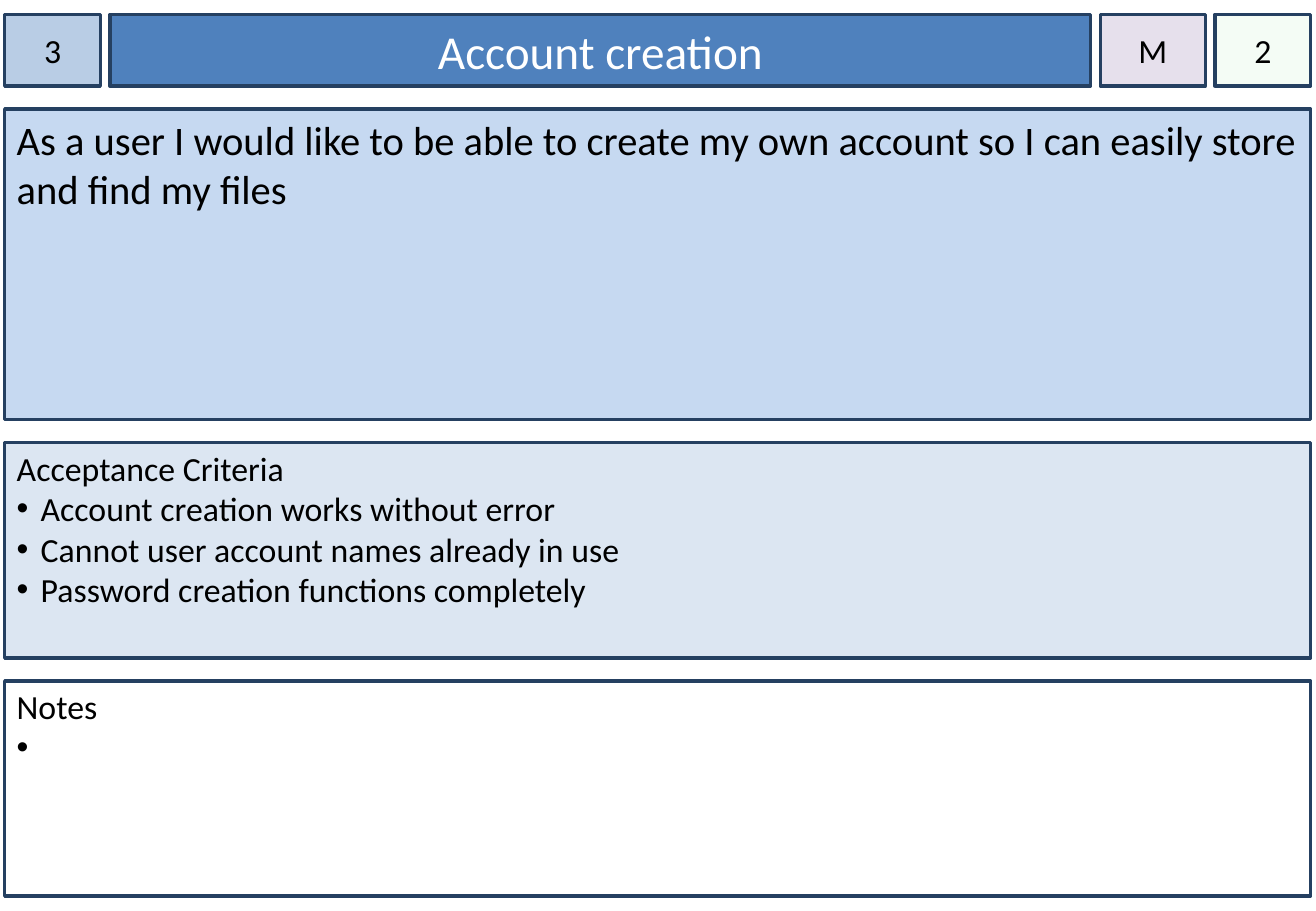
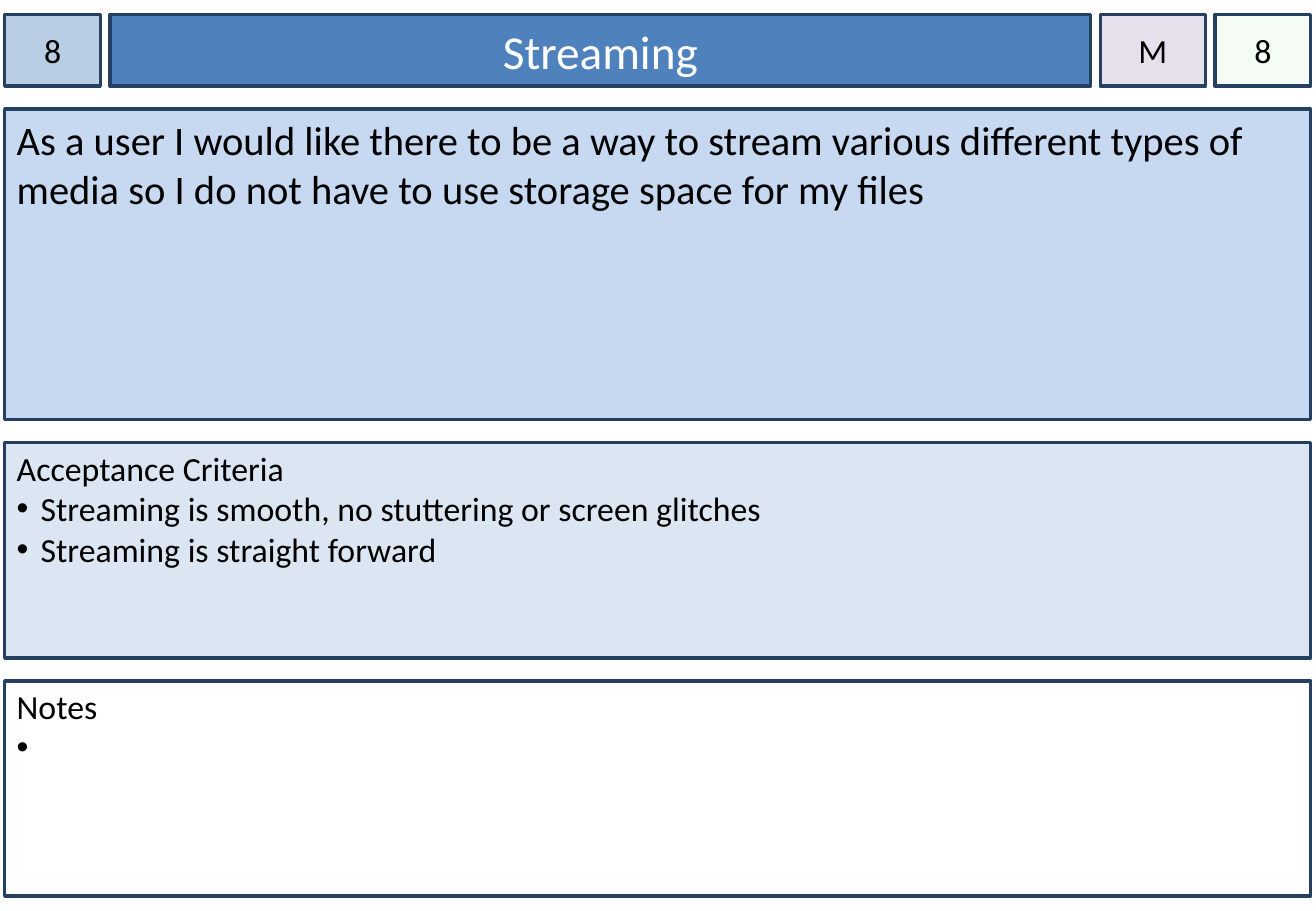
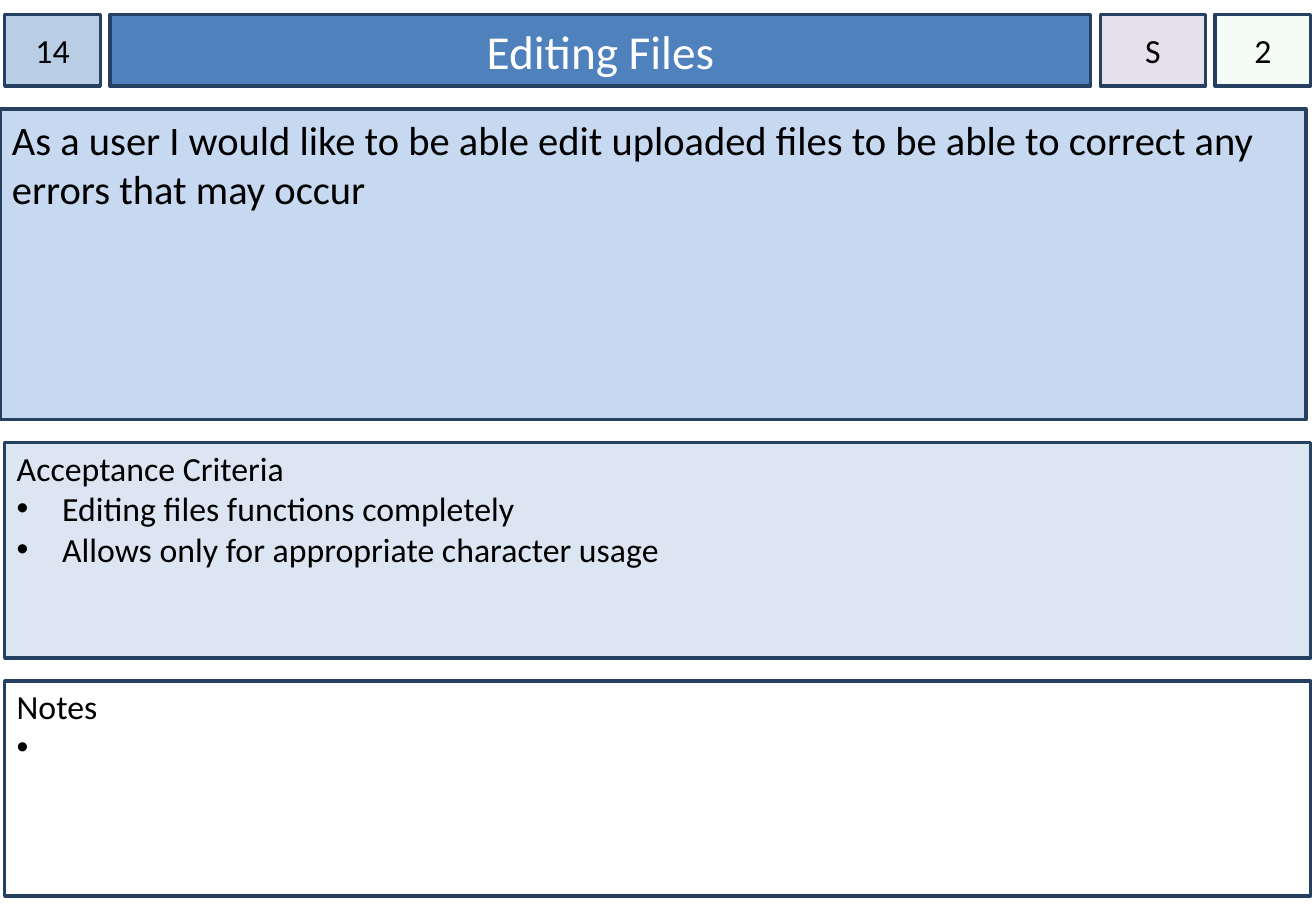
from lxml import etree
from pptx import Presentation
from pptx import util as u
from pptx.dml.color import RGBColor
from pptx.enum import shapes, text
from pptx.oxml.ns import qn

COLORS = {
    "line": "254061", "title": "4F81BD", "number": "B9CDE5",
    "priority": "E6E0EC", "points": "CCF0CD", "story": "C6D9F1",
    "criteria": "DCE6F2", "notes": "FFFFFF", "text": "000000", "title_text": "FFFFFF",
}
LEFT, TOP = 0.1, 0.3
HEADER_H, HEADER_GAP = 1.5, 0.2
HEADER_WIDTHS = {"number": 2, "title": 20.5, "priority": 2.2, "points": 2}
PANEL_TOP, PANEL_W, PANEL_GAP = 2.28, 27.3, 0.48
PANEL_HEIGHTS = {"story": 6.5, "criteria": 4.5, "notes": 4.5}

CARDS = [
    {"number": "3", "title": "Account creation", "priority": "M", "points": "2",
     "story": ["As a user I would like to be able to create my own account so I can easily store",
               "and find my files"],
     "criteria": ["Account creation works without error",
                  "Cannot user account names already in use",
                  "Password creation functions completely"],
     "indent": 0.5, "story_left": LEFT},
    {"number": "8", "title": "Streaming", "priority": "M", "points": "8",
     "story": ["As a user I would like there to be a way to stream various different types of",
               "media so I do not have to use storage space for my files"],
     "criteria": ["Streaming is smooth, no stuttering or screen glitches",
                  "Streaming is straight forward"],
     "indent": 0.5, "story_left": LEFT},
    {"number": "14", "title": "Editing Files", "priority": "S", "points": "2",
     "story": ["As a user I would like to be able edit uploaded files to be able to correct any",
               "errors that may occur"],
     "criteria": ["Editing files functions completely",
                  "Allows only for appropriate character usage"],
     "indent": 0.95, "story_left": 0},
]


def format_box(sp, name, lines, size, align, anchor, side, top):
    sp.fill.solid()
    sp.fill.fore_color.rgb = RGBColor.from_string(COLORS[name])
    sp.line.color.rgb = RGBColor.from_string(COLORS["line"])
    sp.line.width = u.Pt(2)
    tf = sp.text_frame
    tf.text = "\n".join(lines)
    tf.word_wrap = name != "priority"
    tf.auto_size = text.MSO_AUTO_SIZE.NONE
    tf.vertical_anchor = anchor
    tf.margin_left = tf.margin_right = u.Cm(side)
    tf.margin_top, tf.margin_bottom = u.Cm(top), u.Cm(0.13)
    color = COLORS["title_text" if name == "title" else "text"]
    for p in tf.paragraphs:
        p.alignment = align
        for r in p.runs:
            r.font.name = "Calibri"
            r.font.size = u.Pt(size)
            r.font.color.rgb = RGBColor.from_string(color)


def add_bullet(p, indent):
    pPr = p._p.get_or_add_pPr()
    pPr.set("marL", str(u.Cm(indent)))
    pPr.set("indent", str(-u.Cm(indent)))
    etree.SubElement(pPr, qn("a:buFont")).set("typeface", "Arial")
    etree.SubElement(pPr, qn("a:buChar")).set("char", "•")


prs = Presentation()
prs.slide_width, prs.slide_height = u.Cm(27.51), u.Cm(19.05)

for card in CARDS:
    s = prs.slides.add_slide(prs.slide_layouts[5])

    left = LEFT
    for name, width in HEADER_WIDTHS.items():
        box = u.Cm(left), u.Cm(TOP), u.Cm(width), u.Cm(HEADER_H)
        if name == "title":
            sp = s.shapes.title
            sp.left, sp.top, sp.width, sp.height = box
            size, side = 28, 0.25
        else:
            sp = s.shapes.add_shape(shapes.MSO_SHAPE.RECTANGLE, *box)
            sp.shadow.inherit = False
            size, side = 20, 0
        format_box(sp, name, [card[name]], size, text.PP_ALIGN.CENTER,
                   text.MSO_ANCHOR.MIDDLE, side, 0.13)
        if name == "points":
            color = sp._element.spPr.find(qn("a:solidFill"))[0]
            etree.SubElement(color, qn("a:alpha")).set("val", "20000")
        left += width + HEADER_GAP

    panels = {
        "story": card["story"],
        "criteria": ["Acceptance Criteria"] + card["criteria"],
        "notes": ["Notes", " "],
    }
    top = PANEL_TOP
    for name, height in PANEL_HEIGHTS.items():
        is_story = name == "story"
        left = card["story_left"] if is_story else LEFT
        sp = s.shapes.add_shape(shapes.MSO_SHAPE.RECTANGLE, u.Cm(left), u.Cm(top),
                                u.Cm(PANEL_W), u.Cm(height))
        sp.shadow.inherit = False
        format_box(sp, name, panels[name], 24 if is_story else 20, text.PP_ALIGN.LEFT,
                   text.MSO_ANCHOR.TOP, 0.25, 0.13 if is_story else 0.1)
        if not is_story:
            for p in sp.text_frame.paragraphs[1:]:
                add_bullet(p, card["indent"] if name == "criteria" else 0.5)
        top += height + PANEL_GAP

prs.save("out.pptx")
